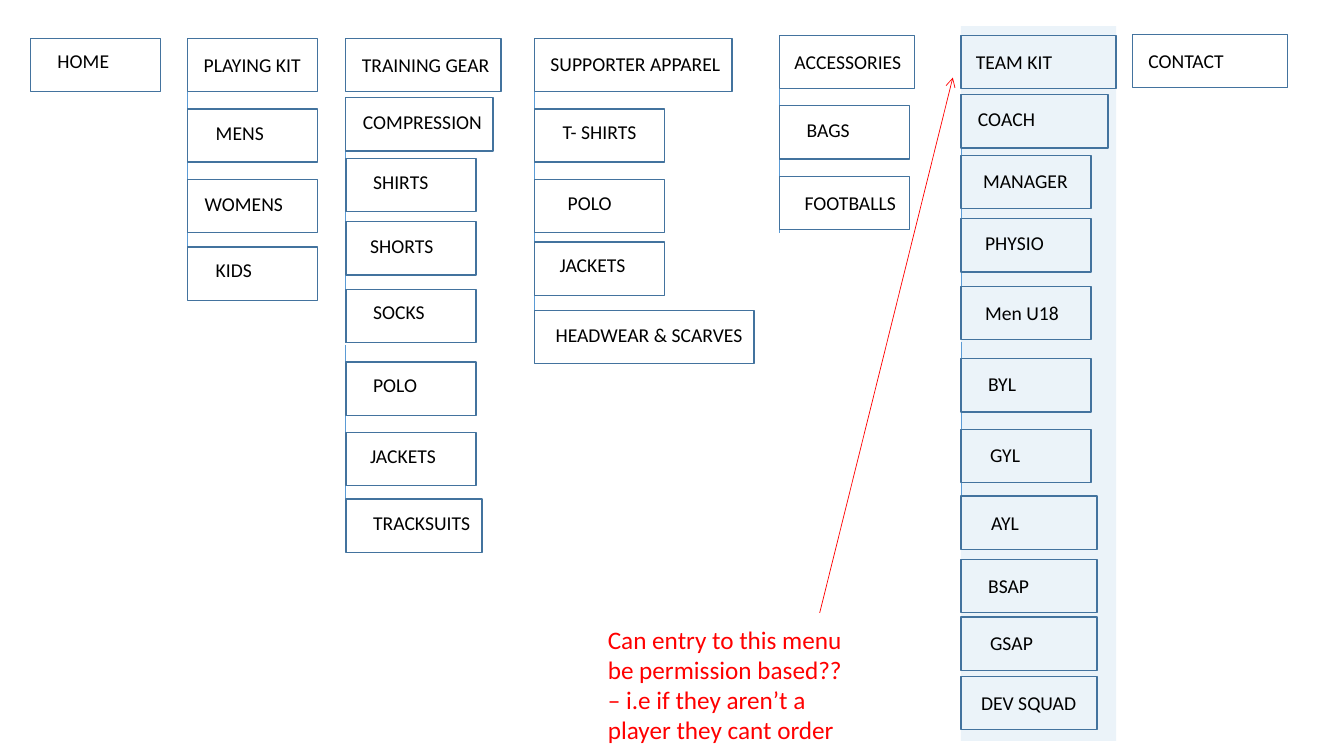
from dataclasses import dataclass

from lxml.etree import SubElement
from pptx import Presentation
from pptx.dml.color import RGBColor
from pptx.enum.shapes import MSO_CONNECTOR, MSO_SHAPE
from pptx.enum.text import MSO_ANCHOR, PP_ALIGN
from pptx.oxml.ns import qn
from pptx.util import Inches, Pt


@dataclass(frozen=True)
class Theme:
    """Colours, type sizes and common measures of the site map."""
    font: str = "Calibri"
    text: str = "000000"
    outline: str = "43739E"
    branch: str = "5B9BD5"
    highlight: str = "CEE1F2"
    highlight_opacity: int = 40
    note: str = "FF0000"
    label_size: int = 14
    note_size: int = 18
    box_height: float = 0.53


THEME = Theme()
NARROW, MEDIUM, WIDE = 1.29, 1.35, 1.54

# Each menu: left edge, then boxes as (label, top, width, text indent, text drop).
MENUS = [
    (0.3, [("HOME", 0.38, NARROW, 0.27, 0.11)]),
    (1.86, [
        ("PLAYING KIT", 0.38, NARROW, 0.16, 0.15),
        ("MENS", 1.08, NARROW, 0.28, 0.12),
        ("WOMENS", 1.78, NARROW, 0.17, 0.12),
        ("KIDS", 2.45, NARROW, 0.28, 0.11),
    ]),
    (3.43, [
        ("TRAINING GEAR", 0.38, WIDE, 0.16, 0.15),
        ("COMPRESSION", 0.97, 1.46, 0.17, 0.12),
        ("SHIRTS", 1.57, NARROW, 0.27, 0.12),
        ("SHORTS", 2.2, NARROW, 0.24, 0.12),
        ("SOCKS", 2.87, NARROW, 0.27, 0.11),
        ("POLO", 3.59, NARROW, 0.27, 0.11),
        ("JACKETS", 4.29, NARROW, 0.24, 0.11),
        ("TRACKSUITS", 4.95, MEDIUM, 0.27, 0.12),
    ]),
    (5.3, [
        ("SUPPORTER APPAREL", 0.38, 1.96, 0.16, 0.14),
        ("T- SHIRTS", 1.08, NARROW, 0.28, 0.11),
        ("POLO", 1.78, NARROW, 0.33, 0.11),
        ("JACKETS", 2.4, NARROW, 0.25, 0.11),
        ("HEADWEAR & SCARVES", 3.08, 2.18, 0.21, 0.12),
    ]),
    (7.73, [
        ("ACCESSORIES", 0.35, 1.34, 0.15, 0.15),
        ("BAGS", 1.05, NARROW, 0.27, 0.12),
        ("FOOTBALLS", 1.75, NARROW, 0.25, 0.14),
    ]),
    (9.53, [
        ("TEAM KIT", 0.35, WIDE, 0.15, 0.15),
        ("COACH", 0.94, 1.46, 0.17, 0.12),
        ("MANAGER", 1.54, NARROW, 0.22, 0.14),
        ("PHYSIO", 2.17, NARROW, 0.24, 0.12),
        ("Men U18", 2.84, NARROW, 0.24, 0.15),
        ("BYL", 3.56, NARROW, 0.27, 0.13),
        ("GYL", 4.26, NARROW, 0.29, 0.13),
        ("AYL", 4.92, MEDIUM, 0.3, 0.15),
        ("BSAP", 5.55, MEDIUM, 0.27, 0.14),
        ("GSAP", 6.12, MEDIUM, 0.29, 0.14),
        ("DEV SQUAD", 6.71, MEDIUM, 0.2, 0.14),
    ]),
    (11.23, [("CONTACT", 0.34, WIDE, 0.16, 0.15)]),
]

BRANCHES = [
    (1.86, 0.91, 2.98),
    (3.43, 1.33, 3.4),
    (3.43, 3.42, 5.48),
    (5.3, 0.91, 3.35),
    (7.73, 0.88, 2.31),
    (9.53, 1.3, 3.37),
    (9.53, 3.39, 5.45),
]

NOTE = ("Can entry to this menu be permission based?? "
        "– i.e if they aren’t a player they cant order")


def write_text(shape, text, *, size, color, indent=0.1, drop=0.05):
    """Write left-aligned text starting at an indent and drop inside a shape."""
    frame = shape.text_frame
    frame.word_wrap = True
    frame.vertical_anchor = MSO_ANCHOR.TOP
    frame.margin_left, frame.margin_top = Inches(indent), Inches(drop)
    frame.margin_right = frame.margin_bottom = Inches(0)
    paragraph = frame.paragraphs[0]
    paragraph.alignment = PP_ALIGN.LEFT
    run = paragraph.add_run()
    run.text = text
    run.font.name = THEME.font
    run.font.size = Pt(size)
    run.font.color.rgb = RGBColor.from_string(color)


def add_rectangle(slide, left, top, width, height):
    """Add a rectangle without shadow."""
    shape = slide.shapes.add_shape(
        MSO_SHAPE.RECTANGLE, Inches(left), Inches(top), Inches(width), Inches(height))
    shape.shadow.inherit = False
    return shape


def add_highlight(slide, left, top, width, height):
    """Add a translucent band behind a menu."""
    band = add_rectangle(slide, left, top, width, height)
    band.line.fill.background()
    band.fill.solid()
    band.fill.fore_color.rgb = RGBColor.from_string(THEME.highlight)
    color = band.fill._xPr.find(qn("a:solidFill"))[0]
    SubElement(color, qn("a:alpha"), val=str(THEME.highlight_opacity * 1000))


def add_menu_box(slide, left, label, top, width, indent, drop):
    """Add an outlined menu entry with its label."""
    box = add_rectangle(slide, left, top, width, THEME.box_height)
    box.fill.background()
    box.line.color.rgb = RGBColor.from_string(THEME.outline)
    box.line.width = Pt(1)
    write_text(box, label, size=THEME.label_size, color=THEME.text,
               indent=indent, drop=drop)


def add_line(slide, start, end, color, arrow=False):
    """Add a thin straight line, with an optional arrowhead at its end."""
    connector = slide.shapes.add_connector(
        MSO_CONNECTOR.STRAIGHT, *map(Inches, start + end))
    connector.line.color.rgb = RGBColor.from_string(color)
    connector.line.width = Pt(0.5)
    if arrow:
        SubElement(connector.line._get_or_add_ln(), qn("a:tailEnd"), type="arrow")
    SubElement(connector._element.spPr, qn("a:effectLst"))


def add_note(slide, text, left, top, width, height):
    """Add a wrapped comment in the note colour."""
    note = slide.shapes.add_textbox(
        Inches(left), Inches(top), Inches(width), Inches(height))
    write_text(note, text, size=THEME.note_size, color=THEME.note)
    note.text_frame.margin_right = Inches(0.1)


def main():
    """Build the site map slide."""
    presentation = Presentation()
    presentation.slide_width, presentation.slide_height = Inches(13.33), Inches(7.5)
    slide = presentation.slides.add_slide(presentation.slide_layouts[6])
    add_highlight(slide, 9.53, 0.26, WIDE, 7.09)
    for left, top, bottom in BRANCHES:
        add_line(slide, (left, top), (left, bottom), THEME.branch)
    for left, boxes in MENUS:
        for box in boxes:
            add_menu_box(slide, left, *box)
    add_line(slide, (8.13, 6.08), (9.45, 0.77), THEME.note, arrow=True)
    add_note(slide, NOTE, 5.93, 6.14, 2.68, 1.31)
    presentation.save("out.pptx")


main()
